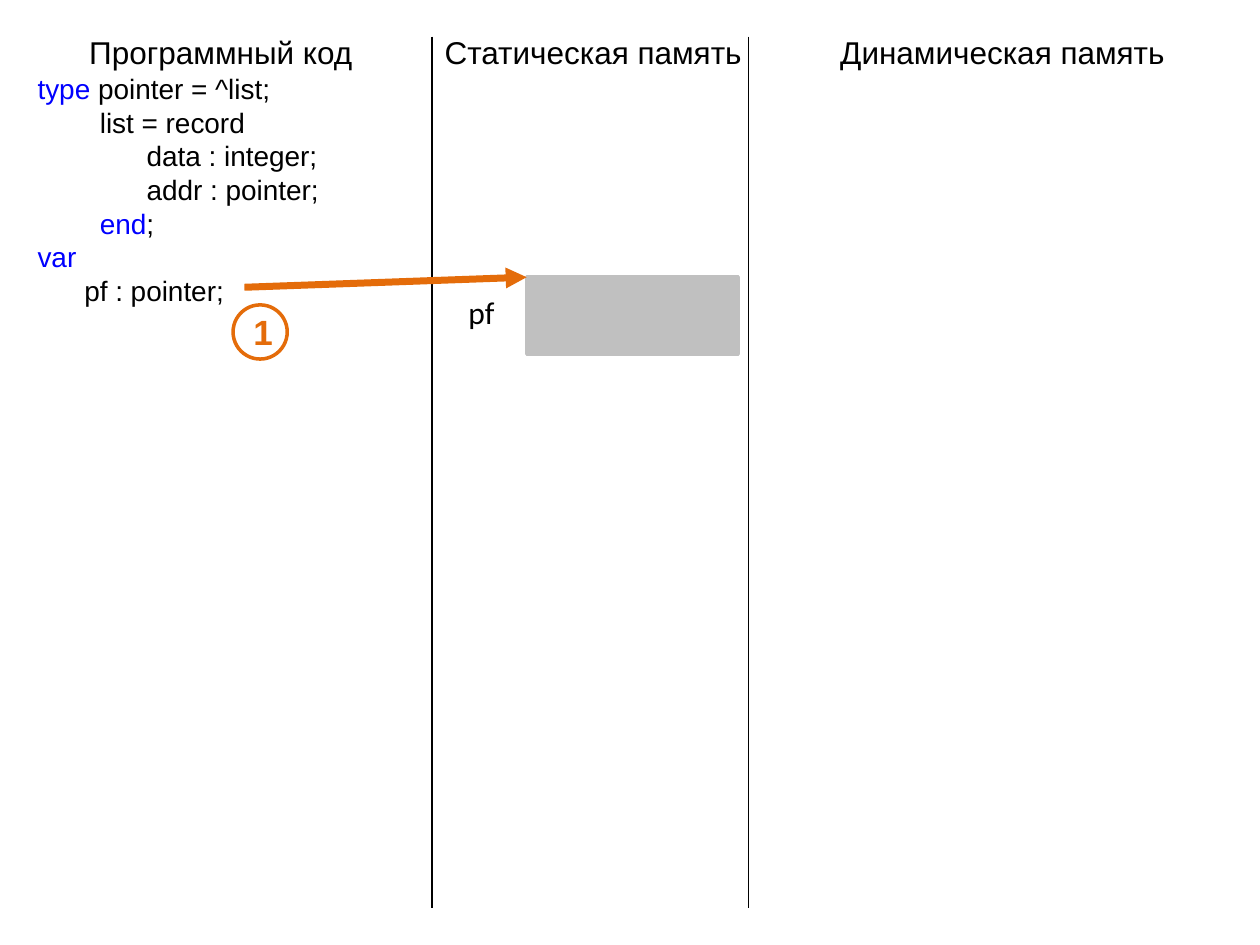
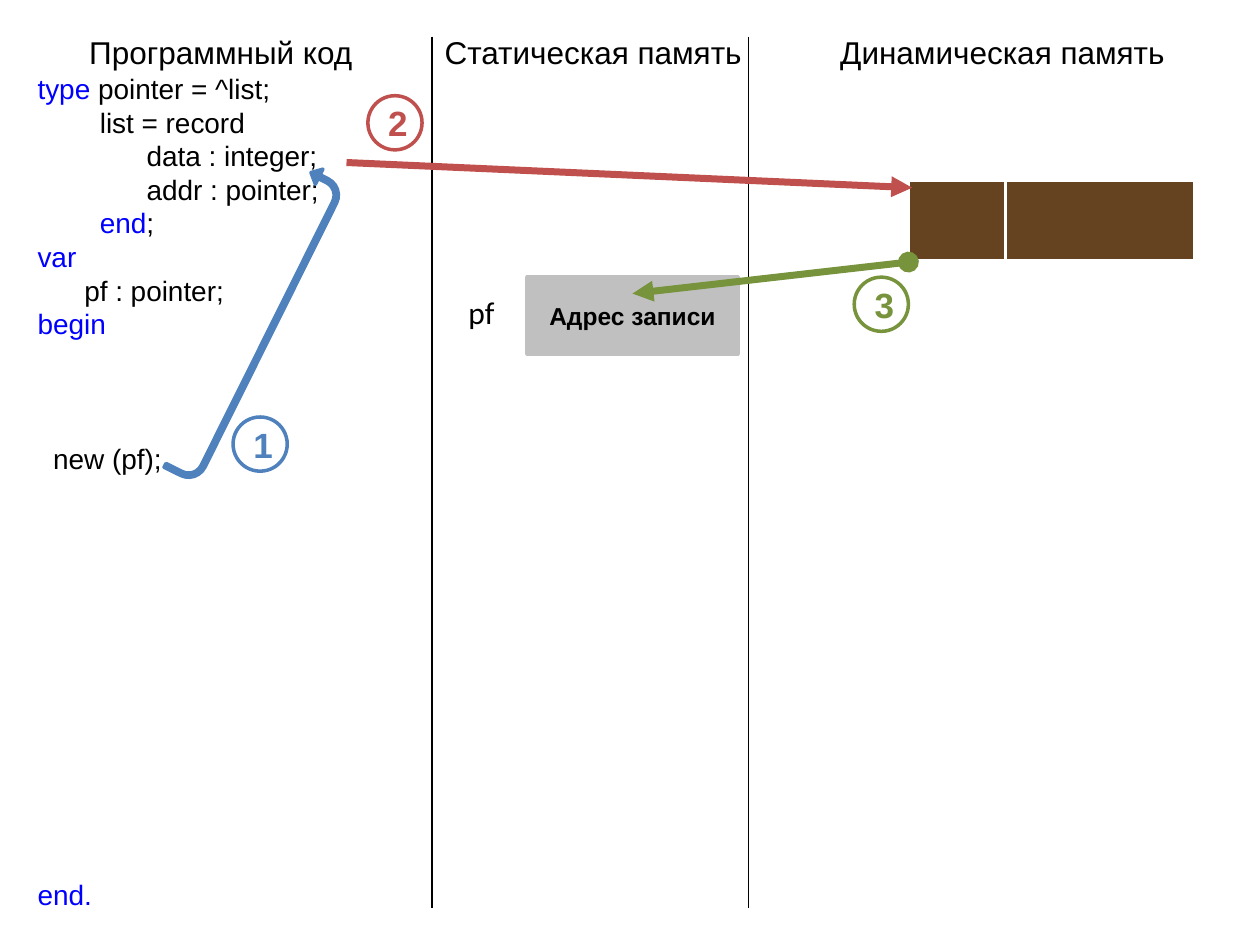
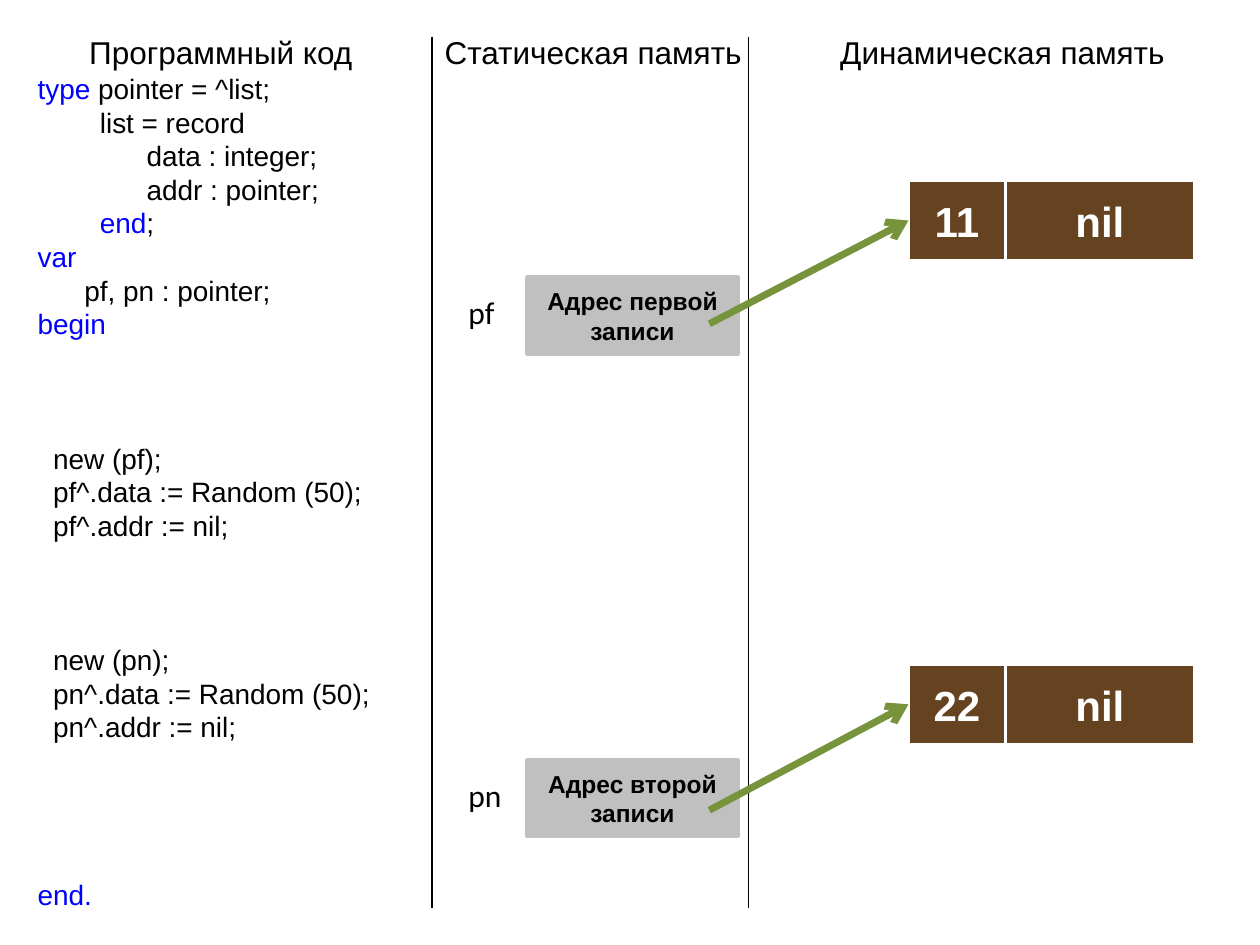
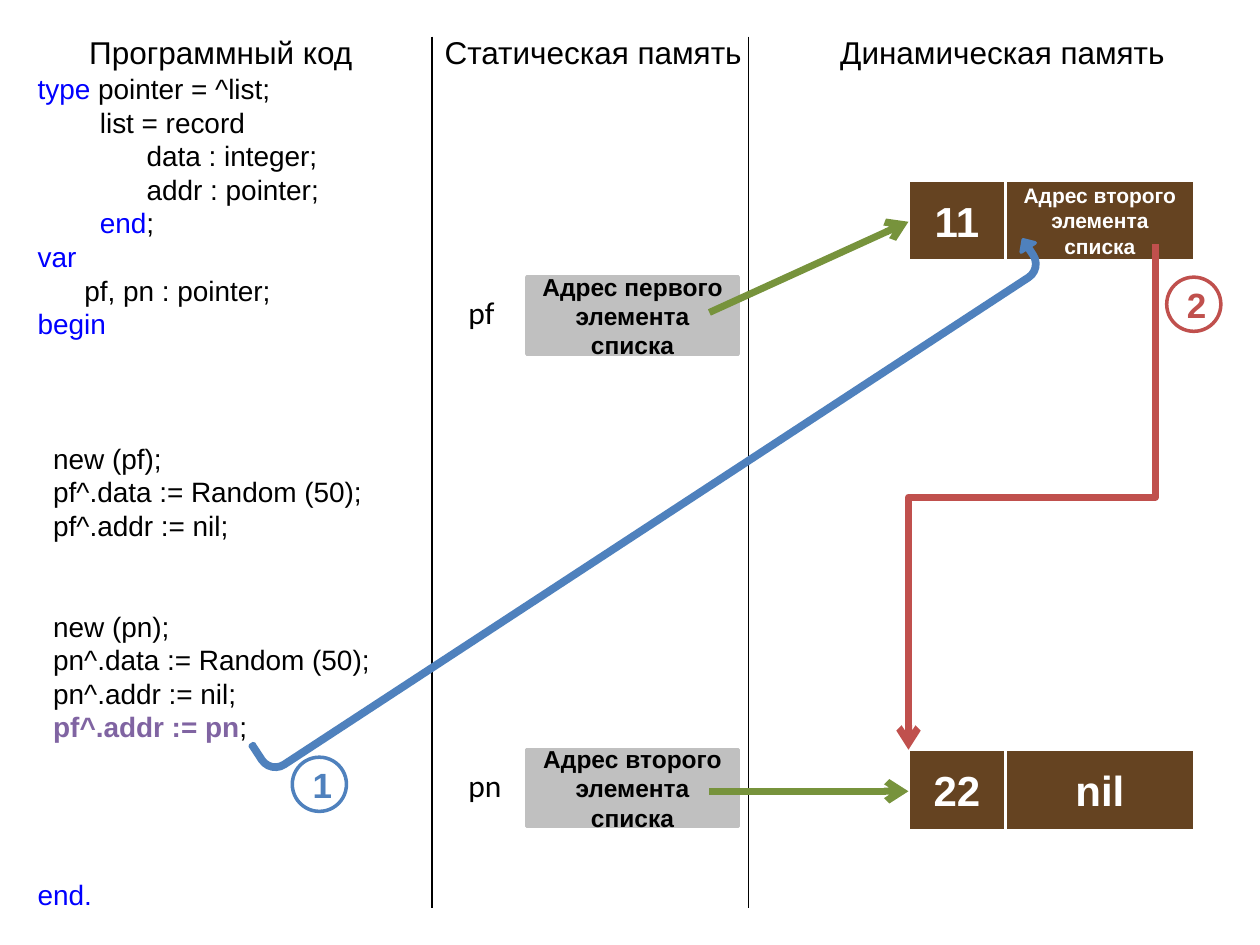
import pptx
import pptx.util
import pptx.dml.color
import pptx.enum.shapes
import pptx.enum.text
import pptx.oxml
import pptx.oxml.ns
import lxml.etree

Inches = pptx.util.Inches
Pt = pptx.util.Pt
RGBColor = pptx.dml.color.RGBColor
SHAPE = pptx.enum.shapes.MSO_SHAPE
CONNECTOR = pptx.enum.shapes.MSO_CONNECTOR
CENTER = pptx.enum.text.PP_ALIGN.CENTER
MIDDLE = pptx.enum.text.MSO_ANCHOR.MIDDLE
FIT_SHAPE = pptx.enum.text.MSO_AUTO_SIZE.SHAPE_TO_FIT_TEXT
qn = pptx.oxml.ns.qn

BLACK = RGBColor(0x00, 0x00, 0x00)
WHITE = RGBColor(0xFF, 0xFF, 0xFF)
KEYWORD = RGBColor(0x00, 0x00, 0xFF)
GRAY = RGBColor(0xC0, 0xC0, 0xC0)
BROWN = RGBColor(0x65, 0x43, 0x21)
ORANGE = RGBColor(0xE4, 0x6C, 0x0A)
BLUE = RGBColor(0x4F, 0x81, 0xBD)
RED = RGBColor(0xC0, 0x50, 0x4D)
GREEN = RGBColor(0x77, 0x93, 0x3C)
PURPLE = RGBColor(0x80, 0x64, 0xA2)

# Column headings: text, left, width
HEADINGS = [("Программный код", 0.61, 2.31),
            ("Статическая память", 3.43, 2.58),
            ("Динамическая память", 6.57, 2.8)]
DIVIDERS = [3.43, 5.94]
CODE_SIZE = 16
CODE_ROW = 19.2         # points from one code line to the next
INDENT_STEP = 0.0618    # inches, one character of indent
POINTER_LEFT = 4.18
RECORD_LEFT = 7.21
FIRST_RECORD_TOP = 1.43
FIRST_POINTER_TOP = 2.2


class MemoryDiagram:
    """Slides with three columns: code, static memory, dynamic memory."""

    def __init__(self):
        self.deck = pptx.Presentation()
        self.deck.slide_width = Inches(10)
        self.deck.slide_height = Inches(7.5)
        self.page = None

    def new_page(self):
        self.page = self.deck.slides.add_slide(self.deck.slide_layouts[6])
        for text, left, width in HEADINGS:
            self.label(self.page.shapes, text, left, 0.21, width, "Arial", False)
        for x in DIVIDERS:
            self.connector((x, 0.29), (x, 7.21), BLACK, 1)

    def font(self, paragraph, size, color, bold=False, name="Arial"):
        paragraph.font.size = Pt(size)
        paragraph.font.color.rgb = color
        paragraph.font.bold = bold
        paragraph.font.name = name

    def label(self, shapes, text, left, top, width, name, wrap):
        box = shapes.add_textbox(Inches(left), Inches(top), Inches(width), Inches(0.4))
        box.text_frame.word_wrap = wrap
        box.text_frame.auto_size = FIT_SHAPE
        box.text_frame.text = text
        self.font(box.text_frame.paragraphs[0], 18, BLACK, name=name)

    def code(self, lines, width, height):
        """Each line is (blank rows above, indent, spans of text and colour)."""
        box = self.page.shapes.add_textbox(Inches(0.2), Inches(0.52),
                                           Inches(width), Inches(height))
        frame = box.text_frame
        frame.word_wrap = False
        frame.auto_size = FIT_SHAPE
        for number, (gap, indent, spans) in enumerate(lines):
            paragraph = frame.add_paragraph() if number else frame.paragraphs[0]
            self.font(paragraph, CODE_SIZE, BLACK)
            paragraph.space_before = Pt(gap * CODE_ROW)
            properties = paragraph._p.get_or_add_pPr()
            properties.set("marL", str(Inches(indent * INDENT_STEP)))
            properties.set("indent", "0")
            for text, color in spans:
                span = paragraph.add_run()
                span.text = text
                span.font.color.rgb = color
                span.font.bold = color == PURPLE

    def shape(self, shapes, kind, left, top, width, height, fill, line,
              text="", size=14, color=BLACK):
        item = shapes.add_shape(kind, Inches(left), Inches(top),
                                Inches(width), Inches(height))
        item.shadow.inherit = False
        if fill is None:
            item.fill.background()
        else:
            item.fill.solid()
            item.fill.fore_color.rgb = fill
        item.line.color.rgb = line
        item.line.width = Pt(2)
        if text:
            item.text_frame.text = text
            item.text_frame.vertical_anchor = MIDDLE
            paragraph = item.text_frame.paragraphs[0]
            paragraph.alignment = CENTER
            self.font(paragraph, size, color, True)
        return item

    def pointer(self, name, top, text=""):
        """A named cell of static memory."""
        shapes = self.page.shapes.add_group_shape().shapes
        self.shape(shapes, SHAPE.RECTANGLE, POINTER_LEFT, top, 1.68, 0.61,
                   GRAY, GRAY, text)
        self.label(shapes, name, 3.62, top + 0.08, 0.96, "Calibri", True)

    def record(self, top, data="", address="", address_size=24):
        """A list element: a data cell and an address cell."""
        shapes = self.page.shapes.add_group_shape().shapes
        self.shape(shapes, SHAPE.RECTANGLE, RECORD_LEFT, top, 0.77, 0.64,
                   BROWN, WHITE, data, 24, WHITE)
        self.shape(shapes, SHAPE.RECTANGLE, RECORD_LEFT + 0.77, top, 1.5, 0.64,
                   BROWN, WHITE, address, address_size, WHITE)

    def badge(self, number, left, top, color):
        self.shape(self.page.shapes, SHAPE.OVAL, left, top, 0.43, 0.43,
                   None, color, number, 20, color)

    def connector(self, start, end, color, width=4, tip=None, origin=None,
                  kind=CONNECTOR.STRAIGHT):
        points = [Inches(value) for value in (*start, *end)]
        line = self.page.shapes.add_connector(kind, *points)
        line.line.color.rgb = color
        line.line.width = Pt(width)
        outline = line.line._get_or_add_ln()
        for tag, mark in (("a:headEnd", origin), ("a:tailEnd", tip)):
            if mark:
                lxml.etree.SubElement(outline, qn(tag), type=mark)
        lxml.etree.SubElement(line._element.spPr, qn("a:effectLst"))
        return line

    def elbow_down(self, start, end, color):
        """An elbow that leaves and arrives vertically: a quarter turn."""
        middle_x, middle_y = (start[0] + end[0]) / 2, (start[1] + end[1]) / 2
        half_width, half_height = (end[1] - start[1]) / 2, (start[0] - end[0]) / 2
        line = self.connector((middle_x - half_width, middle_y - half_height),
                              (middle_x + half_width, middle_y + half_height),
                              color, tip="arrow", kind=CONNECTOR.ELBOW)
        line._element.spPr.find(qn("a:xfrm")).set("rot", "5400000")

    def hook(self, left, top, width, angle):
        """A long U-turn arrow from a code line to a memory field."""
        arrow = self.shape(self.page.shapes, SHAPE.U_TURN_ARROW, left, top,
                           width, 0.29, BLUE, BLUE)
        for index, value in enumerate((0.117, 0.23, 0.25, 0.5, 1)):
            arrow.adjustments[index] = value
        arrow.rotation = angle
        arrow._element.spPr.find(qn("a:xfrm")).set("flipV", "1")


# Code fragments
def plain(text, gap=0, indent=2):
    return gap, indent, [(text, BLACK)]


def keyword(word, rest="", gap=0, indent=0):
    spans = [(word, KEYWORD)] + ([(rest, BLACK)] if rest else [])
    return gap, indent, spans


def declarations(names):
    return [keyword("type", " pointer = ^list;"),
            plain("list = record", indent=8),
            plain("data : integer;", indent=14),
            plain("addr : pointer;", indent=14),
            keyword("end", ";", indent=8),
            keyword("var"),
            plain(names + " : pointer;", indent=6)]


def create(name, gap):
    return [plain(f"new ({name});", gap),
            plain(f"{name}^.data := Random (50);"),
            plain(f"{name}^.addr := nil;")]


BEGIN = keyword("begin")
FINISH = keyword("end.", gap=4)
diagram = MemoryDiagram()

# Slide 1: declaring the pointer
diagram.new_page()
diagram.code(declarations("pf"), 2.47, 1.99)
diagram.pointer("pf", FIRST_POINTER_TOP)
diagram.badge("1", 1.85, 2.42, ORANGE)
diagram.connector((1.94, 2.28), (POINTER_LEFT, 2.2), ORANGE, tip="triangle")

# Slide 2: allocating a record
diagram.new_page()
diagram.code(declarations("pf") + [BEGIN, plain("new (pf);", 3),
                                   keyword("end.", gap=12)], 2.47, 7.1)
diagram.badge("3", 6.78, 2.2, GREEN)
diagram.record(FIRST_RECORD_TOP)
diagram.pointer("pf", FIRST_POINTER_TOP, "Адрес записи")
diagram.connector((RECORD_LEFT, 2.08), (5.02, 2.33), GREEN,
                  tip="triangle", origin="oval")
diagram.hook(0.69, 2.43, 2.68, 296.5)
diagram.badge("1", 1.85, 3.31, BLUE)
diagram.connector((2.75, 1.29), (7.24, 1.49), RED, tip="triangle")
diagram.badge("2", 2.92, 0.76, RED)

# Slide 3: two separate records
diagram.new_page()
diagram.code(declarations("pf, pn") + [BEGIN] + create("pf", 3)
             + create("pn", 3) + [FINISH], 2.88, 7.1)
for name, order, data, record_top, pointer_top, start_y in [
        ("pf", "первой", "11", FIRST_RECORD_TOP, FIRST_POINTER_TOP, 2.57),
        ("pn", "второй", "22", 5.27, 6.03, 6.43)]:
    diagram.record(record_top, data, "nil")
    diagram.pointer(name, pointer_top, f"Адрес {order} записи")
    diagram.connector((5.63, start_y), (RECORD_LEFT, record_top + 0.32),
                      GREEN, tip="arrow")

# Slide 4: linking the records
diagram.new_page()
link = (0, 2, [("pf^.addr := pn", PURPLE), (";", BLACK)])
diagram.code(declarations("pf, pn") + [BEGIN] + create("pf", 3)
             + create("pn", 2) + [link, FINISH], 2.88, 7.1)
second_address = "Адрес второго элемента списка"
diagram.record(FIRST_RECORD_TOP, "11", second_address, 12)
diagram.pointer("pf", FIRST_POINTER_TOP, "Адрес первого элемента списка")
diagram.connector((5.63, 2.48), (RECORD_LEFT, 1.76), GREEN, tip="arrow")
diagram.record(5.95, "22", "nil")
diagram.pointer("pn", 5.95, second_address)
diagram.connector((5.63, 6.28), (RECORD_LEFT, 6.28), GREEN, tip="arrow")
diagram.hook(1.46, 3.87, 7.4, 326.8)
diagram.elbow_down((9.17, 1.94), (RECORD_LEFT, 5.95), RED)
diagram.badge("2", 9.26, 2.2, RED)
diagram.badge("1", 2.32, 6.01, BLUE)

diagram.deck.save("out.pptx")
